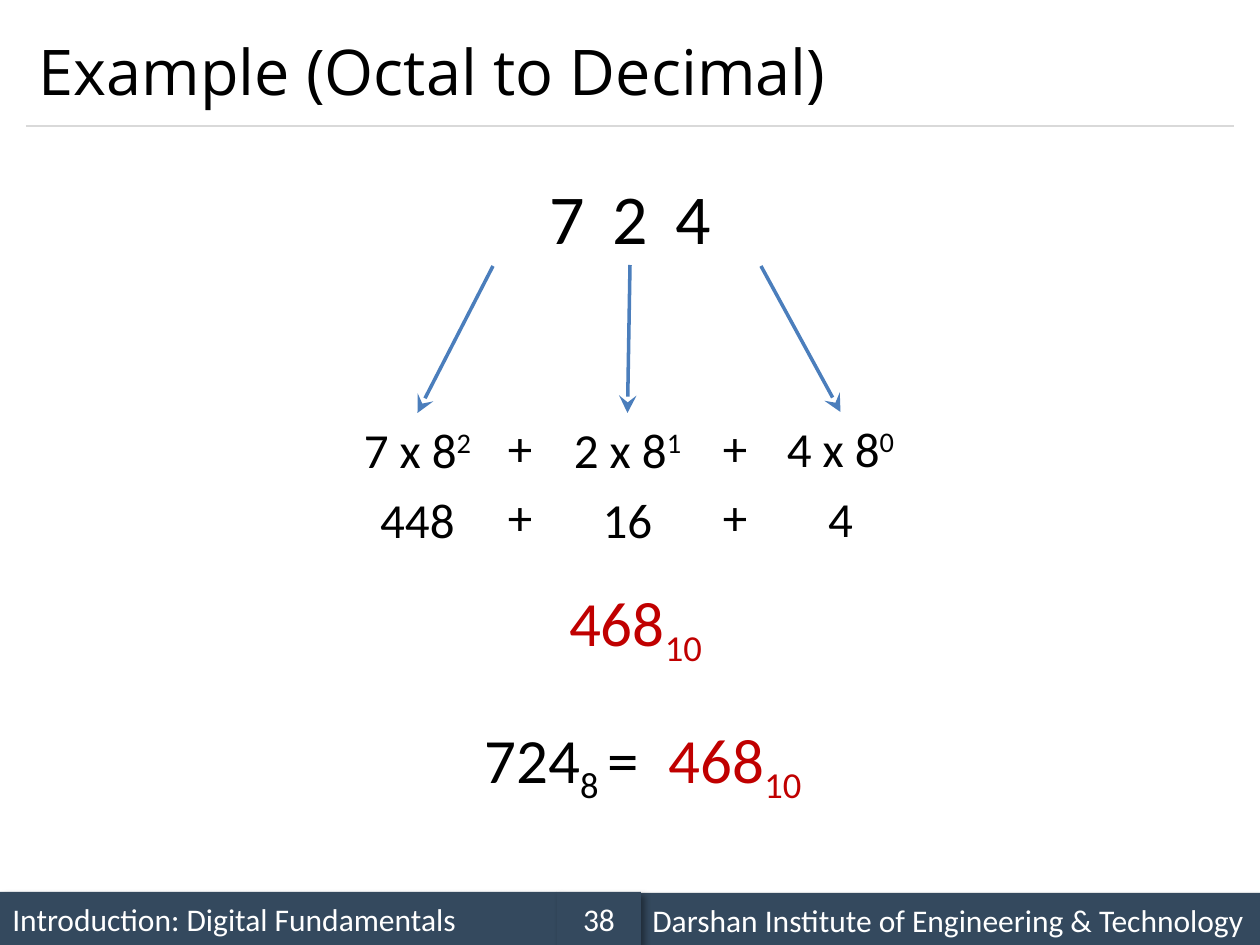
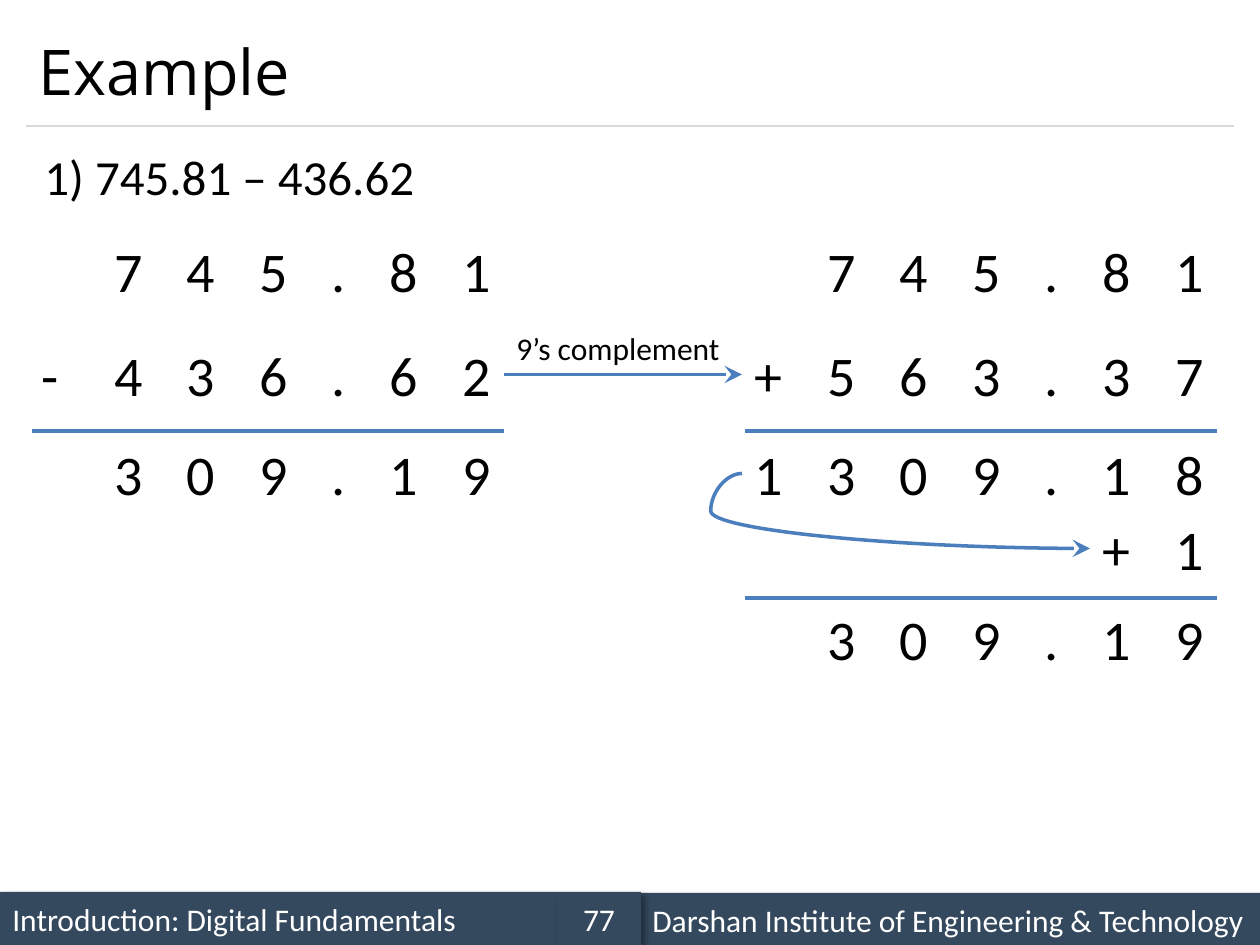
from dataclasses import dataclass

from lxml import etree
from pptx import Presentation, util as u
from pptx.dml.color import RGBColor
from pptx.enum import shapes, text
from pptx.oxml import ns


@dataclass(frozen=True)
class Theme:
    ink: str = "000000"
    accent: str = "4B7EBC"
    result: str = "C00000"
    band: str = "34495E"
    band_text: str = "FFFFFF"
    rule: str = "D9D9D9"
    title_font: str = "Open Sans"
    body_font: str = "Calibri"
    title: int = 36
    digits: int = 40
    answer: int = 36
    column: int = 32
    term: int = 28
    small: int = 18


T = Theme()
SCALE = 914400 / 126
SUP, SUB = 30000, -25000
COURSE = "Introduction: Digital Fundamentals"
SCHOOL = "Darshan Institute of Engineering & Technology"

OCTAL = {
    "title": "Example (Octal to Decimal)",
    "page": "38",
    "digits": "7\t2\t4",
    "terms": [
        (336, 413, "7 x 8", "2", "448"),
        (546, 413, "2 x 8", "1", "16"),
        (759, 412, "4 x 8", "0", "4"),
    ],
    "plus_lefts": [494, 709],
    "arrow_starts": [493, 630, 761],
    "answers": [
        ((546, 577, 179, 89), [("468", 0), ("10", SUB)], T.result),
        ((462, 714, 199, 89), [("724", 0), ("8 ", SUB), ("=", 0)], T.ink),
        ((651, 714, 168, 89), [("468", 0), ("10", SUB)], T.result),
    ],
}

COMPLEMENT = {
    "title": "Example",
    "page": "77",
    "task": "1) 745.81 – 436.62",
    "label": "9’s complement",
    "sums": [
        (0, [" 745.81", "-436.62", " 309.19"], [431]),
        (713, [" 745.81", "+563.37", "1309.18", "     +1", " 309.19"], [431, 598]),
    ],
}
COLUMN_LEFTS = (29, 102, 174, 247, 319, 377, 450)
ROW_TOPS = (230, 334, 433, 508, 598)
NARROW = {".": 40, "-": 43}


def px(*values):
    return [u.Emu(round(v * SCALE)) for v in values]


def rgb(color):
    return RGBColor.from_string(color)


def style(p, size, color, font=T.body_font):
    for r in p.runs:
        r.font.size = u.Pt(size)
        r.font.name = font
        r.font.color.rgb = rgb(color)


def add_text(s, box, runs, size, color=T.ink, centred=True):
    sp = s.shapes.add_textbox(*px(*box))
    tf = sp.text_frame
    tf.word_wrap = centred
    tf.auto_size = text.MSO_AUTO_SIZE.SHAPE_TO_FIT_TEXT
    p = tf.paragraphs[0]
    p.alignment = text.PP_ALIGN.CENTER if centred else text.PP_ALIGN.LEFT
    if isinstance(runs, str):
        p.text = runs
    else:
        for words, baseline in runs:
            r = p.add_run()
            r.text = words
            if baseline:
                r._r.get_or_add_rPr().set("baseline", str(baseline))
    style(p, size, color)
    return sp


def add_line(s, ends, color=T.accent, width=2, arrow=False, start=None, end=None,
             kind=shapes.MSO_CONNECTOR.STRAIGHT):
    cx = s.shapes.add_connector(kind, *px(*ends))
    cx.line.color.rgb = rgb(color)
    cx.line.width = u.Pt(width)
    if arrow:
        etree.SubElement(cx.line._get_or_add_ln(), ns.qn("a:tailEnd"),
                         type="stealth", w="lg", len="lg")
    etree.SubElement(cx._element.spPr, ns.qn("a:effectLst"))
    if start:
        cx.begin_connect(*start)
    if end:
        cx.end_connect(*end)
    return cx


def add_band(s, box, words, align):
    sp = s.shapes.add_shape(shapes.MSO_SHAPE.RECTANGLE, *px(*box))
    sp.fill.solid()
    sp.fill.fore_color.rgb = rgb(T.band)
    sp.line.fill.background()
    sp.shadow.inherit = False
    effects = sp._element.spPr.find(ns.qn("a:effectLst"))
    shadow = etree.SubElement(effects, ns.qn("a:outerShdw"), blurRad=str(u.Pt(4)),
                              dist=str(u.Pt(3)), dir="2700000", algn="tl", rotWithShape="0")
    black = etree.SubElement(shadow, ns.qn("a:srgbClr"), val=T.ink)
    etree.SubElement(black, ns.qn("a:alpha"), val="40000")
    tf = sp.text_frame
    tf.text = words
    tf.vertical_anchor = text.MSO_ANCHOR.MIDDLE
    tf.paragraphs[0].alignment = align
    style(tf.paragraphs[0], T.small, T.band_text)


def new_slide(prs, content):
    s = prs.slides.add_slide(prs.slide_layouts[5])
    add_band(s, (0, 892, 557, 53), COURSE, text.PP_ALIGN.LEFT)
    add_line(s, (26, 126, 1234, 126), T.rule, 0.75)
    add_band(s, (640, 893, 620, 53), SCHOOL, text.PP_ALIGN.LEFT)
    add_band(s, (557, 892, 84, 53), content["page"], text.PP_ALIGN.CENTER)
    title = s.shapes.title
    title.left, title.top, title.width, title.height = px(26, 15, 1208, 111)
    tf = title.text_frame
    tf.text = content["title"]
    tf.auto_size = text.MSO_AUTO_SIZE.NONE
    tf.vertical_anchor = text.MSO_ANCHOR.MIDDLE
    tf.paragraphs[0].alignment = text.PP_ALIGN.LEFT
    style(tf.paragraphs[0], T.title, T.ink, T.title_font)
    return s


def octal_slide(prs):
    s = new_slide(prs, OCTAL)
    digits = add_text(s, (26, 168, 1208, 97), OCTAL["digits"], T.digits)
    for (left, top, base, power, value), x in zip(OCTAL["terms"], OCTAL["arrow_starts"]):
        term = add_text(s, (left, top, 163, 72), [(base, 0), (power, SUP)], T.term)
        add_text(s, (left, top + 70, 163, 72), value, T.term)
        middle = (digits, 2) if base.startswith("2") else None
        add_line(s, (x, 266, left + 81, top), arrow=True, start=middle, end=(term, 0))
    for left in OCTAL["plus_lefts"]:
        for top in (411, 480):
            add_text(s, (left, top, 52, 72), "+", T.term)
    for box, runs, color in OCTAL["answers"]:
        add_text(s, box, runs, T.answer, color)


def complement_slide(prs):
    s = new_slide(prs, COMPLEMENT)
    add_text(s, (32, 140, 401, 72), COMPLEMENT["task"], T.term, centred=False)
    cells = {}
    for side, (left, rows, rules) in enumerate(COMPLEMENT["sums"]):
        for row, (top, line) in enumerate(zip(ROW_TOPS, rows)):
            for col, (x, char) in enumerate(zip(COLUMN_LEFTS, line)):
                if char != " ":
                    box = (left + x, top, NARROW.get(char, 54), 81)
                    cells[side, row, col] = add_text(s, box, char, T.column, centred=False)
        for y in rules:
            add_line(s, (left + 32, y, left + 504, y))
    add_text(s, (504, 323, 231, 50), COMPLEMENT["label"], T.small, centred=False)
    add_line(s, (504, 374, 742, 374), arrow=True,
             start=(cells[0, 1, 6], 3), end=(cells[1, 1, 0], 1))
    carry = add_line(s, (743, 474, 1091, 548), arrow=True,
                     start=(cells[1, 2, 0], 1), end=(cells[1, 3, 5], 1),
                     kind=shapes.MSO_CONNECTOR.CURVE)
    geometry = carry._element.spPr.find(ns.qn("a:prstGeom"))
    guides = geometry.find(ns.qn("a:avLst"))
    if guides is None:
        guides = etree.SubElement(geometry, ns.qn("a:avLst"))
    etree.SubElement(guides, ns.qn("a:gd"), name="adj1", fmla="val -9000")


def main():
    prs = Presentation()
    prs.slide_width, prs.slide_height = px(1260, 945)
    octal_slide(prs)
    complement_slide(prs)
    prs.save("out.pptx")


if __name__ == "__main__":
    main()
